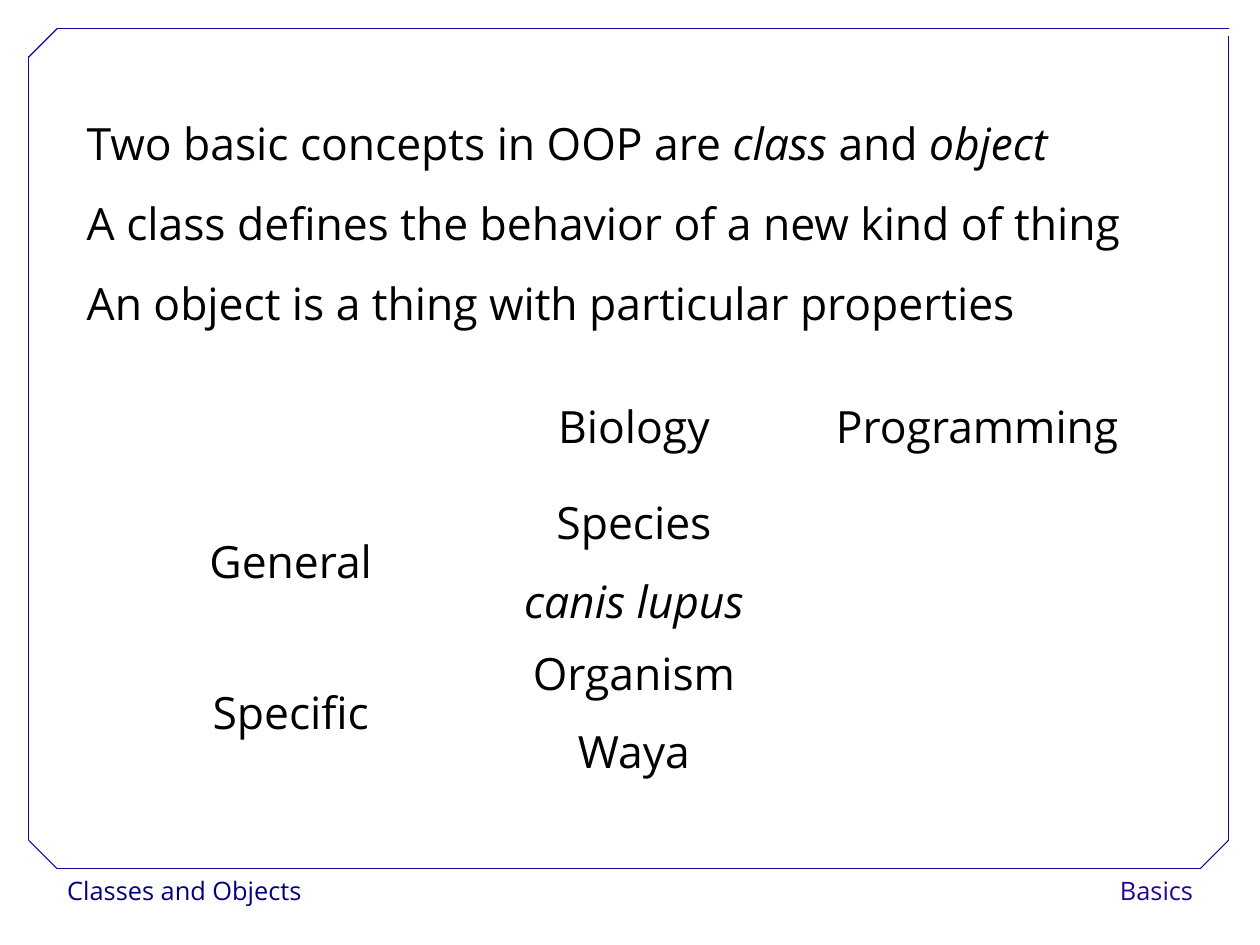
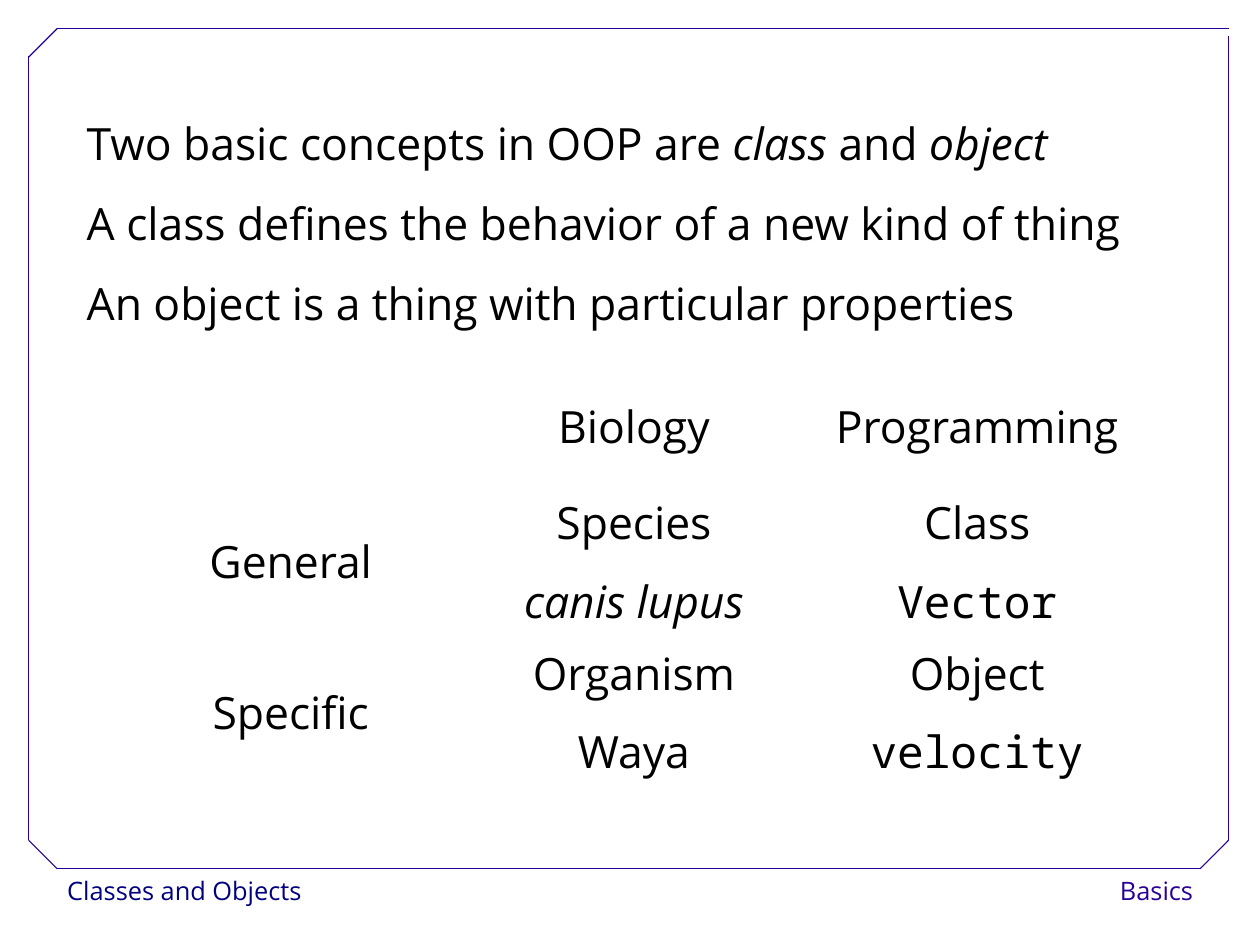
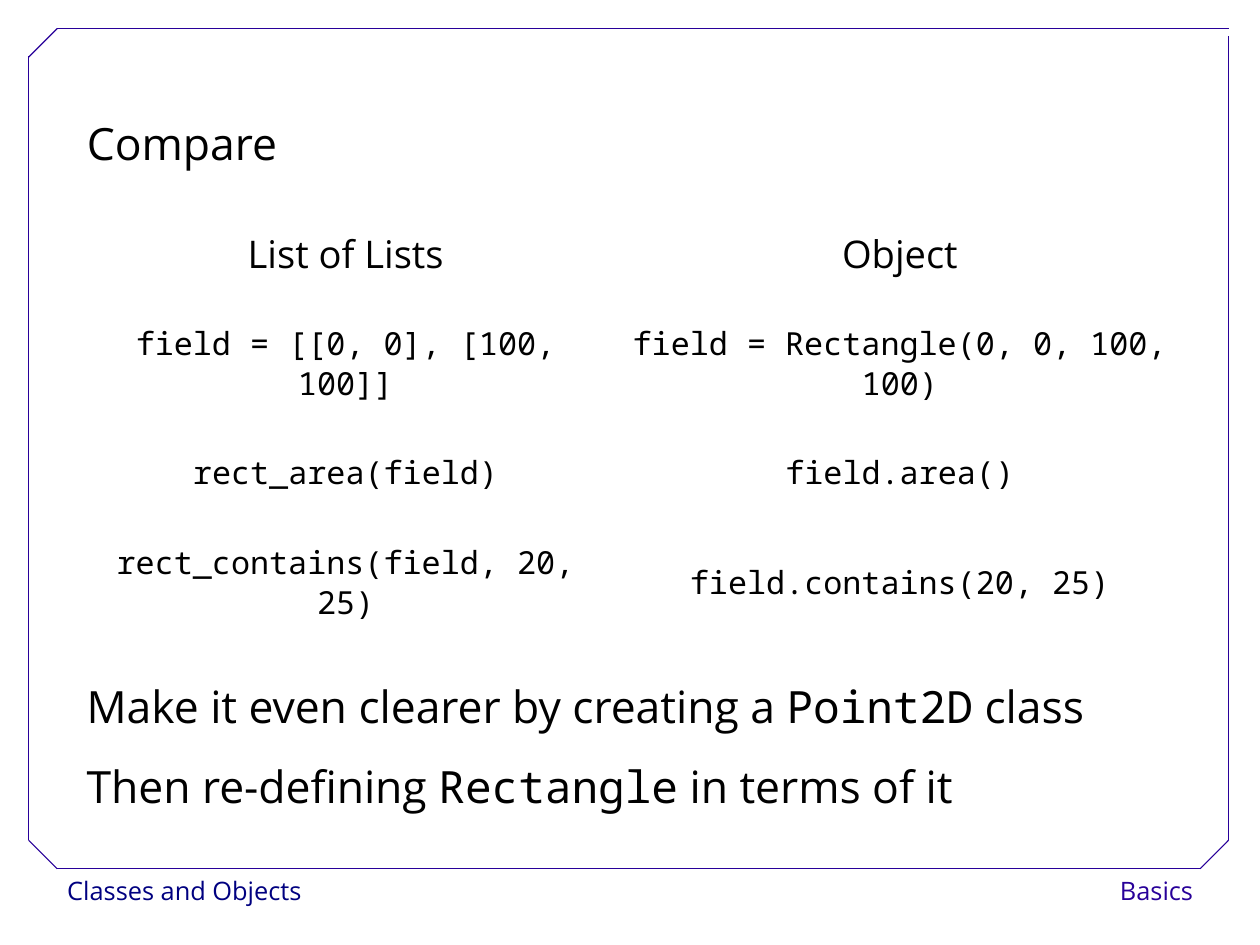
from dataclasses import dataclass

from lxml.etree import SubElement
from pptx import Presentation
from pptx.dml.color import RGBColor
from pptx.enum.shapes import MSO_CONNECTOR, MSO_SHAPE
from pptx.enum.text import MSO_ANCHOR as Anchor, MSO_AUTO_SIZE as AutoSize, PP_ALIGN as Align
from pptx.oxml.ns import qn
from pptx.util import Pt

PX = 3175
SANS, MONO = "Open Sans", "Noto Sans Mono"
BLACK, WHITE, NAVY, INDIGO = "000000", "FFFFFF", "000080", "280099"
TITLE_ONLY, BLANK = 5, 6
TEXT_LEFT, TEXT_TOP, TEXT_WIDTH, HANGING = 190, 210, 2722, 144
FRAME_BOTTOM = 2189

FRAME_LINES = [
    (144, FRAME_BOTTOM, 3024, FRAME_BOTTOM),
    (72, 2117, 72, 141),
    (144, 72, 3096, 72),
    (3096, 2117, 3096, 92),
    (72, 144, 144, 72),
    (3024, FRAME_BOTTOM, 3096, 2117),
    (72, 2117, 144, FRAME_BOTTOM),
]


@dataclass
class Span:
    text: str
    font: str = SANS
    italic: bool = False


def code(text):
    return Span(text, font=MONO)


def emphasis(text):
    return Span(text, italic=True)


CONCEPTS = [
    ["Two basic concepts in OOP are ", emphasis("class"), " and ", emphasis("object")],
    ["A class defines the behavior of a new kind of thing"],
    ["An object is a thing with particular properties"],
]
BIOLOGY_GENERAL = [["Species"], [emphasis("canis lupus")]]
BIOLOGY_SPECIFIC = [["Organism"], ["Waya"]]
PROGRAMMING_GENERAL = [["Class"], [code("Vector")]]
PROGRAMMING_SPECIFIC = [["Object"], [code("velocity")]]
COMPARISON = [
    ("field = [[0, 0], [100, 100]]", "field = Rectangle(0, 0, 100, 100)"),
    ("rect_area(field)", "field.area()"),
    ("rect_contains(field, 20, 25)", "field.contains(20, 25)"),
]
NEXT_STEPS = [
    ["Make it even clearer by creating a ", code("Point2D"), " class"],
    ["Then re-defining ", code("Rectangle"), " in terms of it"],
]


def emu(*lengths):
    return [length * PX for length in lengths]


def color(value):
    return RGBColor.from_string(value)


def write(frame, lines, size, ink=BLACK, align=Align.LEFT, spacing=1.0, after=0, hanging=0):
    for index, spans in enumerate(lines):
        paragraph = frame.paragraphs[0] if index == 0 else frame.add_paragraph()
        paragraph.alignment = align
        paragraph.line_spacing = spacing
        paragraph.space_after = Pt(after)
        if hanging:
            properties = paragraph._p.get_or_add_pPr()
            properties.set("marL", str(hanging * PX))
            properties.set("indent", str(-hanging * PX))
        for span in spans:
            span = Span(span) if isinstance(span, str) else span
            run = paragraph.add_run()
            run.text = span.text
            run.font.name = span.font
            run.font.size = Pt(size)
            run.font.italic = span.italic
            run.font.color.rgb = color(ink)


def write_statements(frame, lines):
    frame.word_wrap = True
    frame.auto_size = AutoSize.SHAPE_TO_FIT_TEXT
    frame.vertical_anchor = Anchor.TOP
    write(frame, lines, 28, spacing=1.5, hanging=HANGING)


def add_statements(slide, top, height, lines):
    box = slide.shapes.add_textbox(*emu(TEXT_LEFT, top, TEXT_WIDTH, height))
    write_statements(box.text_frame, lines)


def set_title(slide, top, height, text):
    title = slide.shapes.title
    title.left, title.top, title.width, title.height = emu(TEXT_LEFT, top, TEXT_WIDTH, height)
    write_statements(title.text_frame, [[text]])


def add_grid(slide, left, top, widths, heights, rows, header_size, body_size):
    area = emu(left, top, sum(widths), sum(heights))
    table = slide.shapes.add_table(len(heights), len(widths), *area).table
    table.first_row = table.horz_banding = False
    for column, width in zip(table.columns, widths):
        column.width = width * PX
    for index, (row, height, contents) in enumerate(zip(table.rows, heights, rows)):
        row.height = height * PX
        size = header_size if index == 0 else body_size
        for cell, lines in zip(row.cells, contents):
            cell.fill.background()
            cell.vertical_anchor = Anchor.MIDDLE
            write(cell.text_frame, lines, size, align=Align.CENTER, spacing=0.93, after=14.2)


def add_label(slide, left, width, text, ink, align):
    label = slide.shapes.add_shape(MSO_SHAPE.RECTANGLE, *emu(left, FRAME_BOTTOM, width, 115))
    label.shadow.inherit = False
    label.fill.solid()
    label.fill.fore_color.rgb = color(WHITE)
    label.line.fill.background()
    label.text_frame.word_wrap = False
    label.text_frame.vertical_anchor = Anchor.TOP
    write(label.text_frame, [[text]], 16, ink, align, spacing=1.02)
    return label


def add_line(slide, ends):
    line = slide.shapes.add_connector(MSO_CONNECTOR.STRAIGHT, *emu(*ends))
    line.line.color.rgb = color(INDIGO)
    line.line.width = Pt(0.75)
    SubElement(line.element.spPr, qn("a:effectLst"))
    return line


def move_to_master(master, shapes):
    tree = master.shapes.element
    for number, shape in enumerate(shapes, start=100):
        shape.element.xpath(".//p:cNvPr")[0].set("id", str(number))
        tree.append(shape.element)


def decorate_master(prs, slide):
    parts = [
        add_label(slide, 141, 619, "Classes and Objects", NAVY, Align.LEFT),
        add_label(slide, 2632, 403, "Basics", INDIGO, Align.RIGHT),
    ]
    parts += [add_line(slide, ends) for ends in FRAME_LINES]
    move_to_master(prs.slide_master, parts)


def build_concepts(slide, programming_general, programming_specific):
    rows = [
        ([], [["Biology"]], [["Programming"]]),
        ([["General"]], BIOLOGY_GENERAL, programming_general),
        ([["Specific"]], BIOLOGY_SPECIFIC, programming_specific),
    ]
    add_grid(slide, 300, 922, [865] * 3, [305, 379, 379], rows, 28, 28)
    add_statements(slide, TEXT_TOP, 634, CONCEPTS)


def build_comparison(slide):
    set_title(slide, TEXT_TOP, 230, "Compare")
    rows = [([["List of Lists"]], [["Object"]])]
    rows += [[[[code(text)]] for text in pair] for pair in COMPARISON]
    add_grid(slide, TEXT_LEFT, 501, [1362, 1431], [276] * 4, rows, 24, 20)
    add_statements(slide, 1630, 432, NEXT_STEPS)


def main():
    prs = Presentation()
    prs.slide_width, prs.slide_height = emu(3175, 2381)
    layouts = prs.slide_layouts
    question = prs.slides.add_slide(layouts[BLANK])
    decorate_master(prs, question)
    build_concepts(question, [], [])
    answer = prs.slides.add_slide(layouts[BLANK])
    build_concepts(answer, PROGRAMMING_GENERAL, PROGRAMMING_SPECIFIC)
    build_comparison(prs.slides.add_slide(layouts[TITLE_ONLY]))
    prs.save("out.pptx")


if __name__ == "__main__":
    main()
